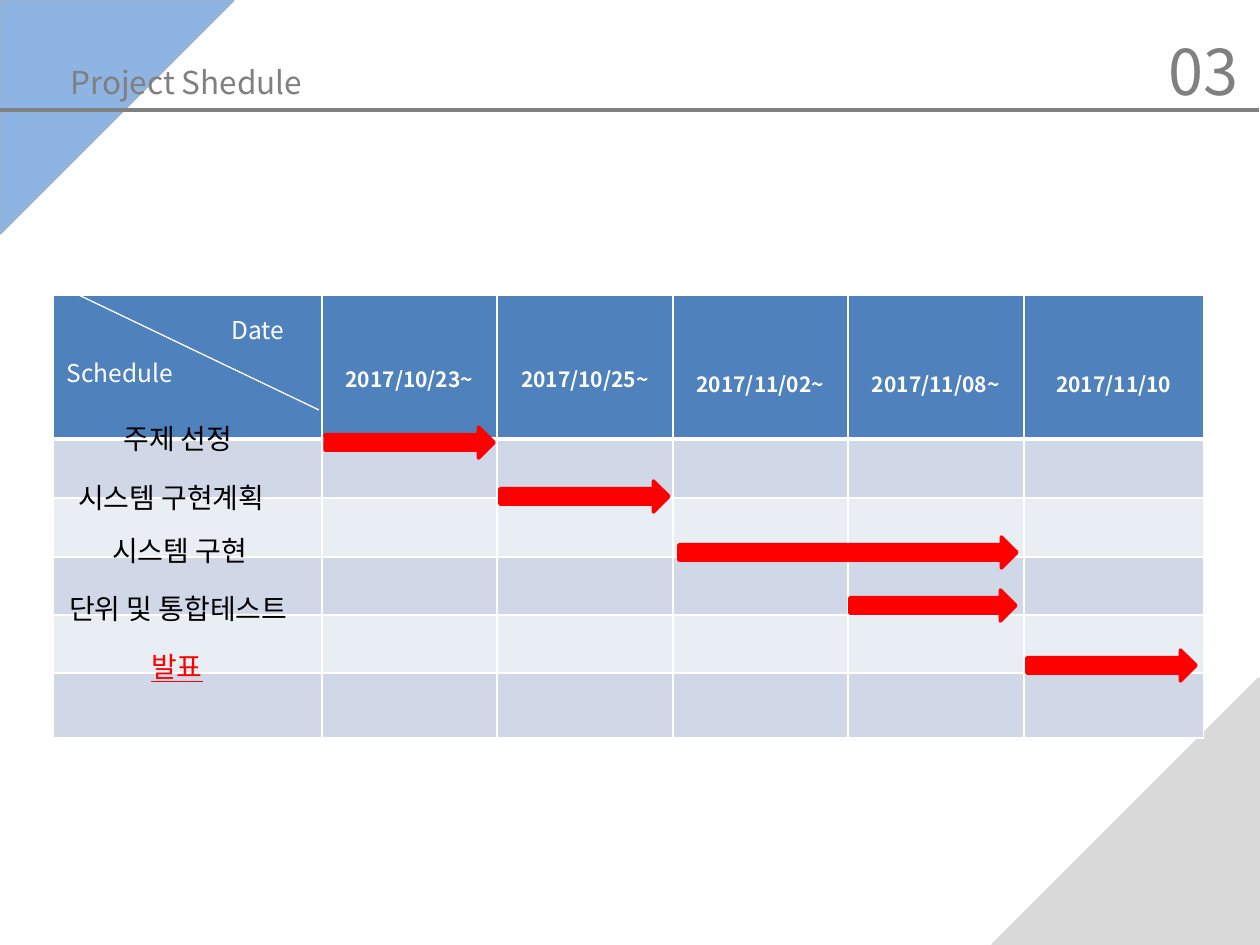
from dataclasses import dataclass
from itertools import product

from lxml.etree import SubElement
from pptx import Presentation
from pptx.dml.color import RGBColor as Rgb
from pptx.enum.shapes import MSO_CONNECTOR as Connector, MSO_SHAPE as Preset
from pptx.enum.text import PP_ALIGN as Align
from pptx.oxml.ns import qn
from pptx.shapes.autoshape import Shape
from pptx.slide import Slide
from pptx.table import _Cell as Cell
from pptx.text.text import _Paragraph as Paragraph
from pptx.util import Emu, Pt

PX_PER_INCH = 126


@dataclass(frozen=True)
class Theme:
    font: str = "Noto Sans CJK KR"
    white: str = "FFFFFF"
    black: str = "000000"
    grey: str = "808080"
    red: str = "FF0000"
    header: str = "4F81BD"
    bands: tuple[str, str] = ("D0D8E8", "E9EDF4")
    blue_corner: str = "8EB4E3"
    blue_edge: str = "95B3D7"
    grey_corner: str = "D9D9D9"
    number_size: int = 36
    title_size: int = 18
    task_size: int = 16
    axis_size: int = 14
    date_size: int = 12


THEME = Theme()


@dataclass(frozen=True)
class Label:
    text: str
    left: int
    top: int
    width: int
    height: int
    size: int
    color: str
    underline: bool = False


@dataclass(frozen=True)
class Task:
    name: str
    name_left: int
    name_top: int
    bar_left: int
    bar_top: int
    bar_width: int
    name_width: int = 300
    color: str = THEME.black
    underline: bool = False


@dataclass(frozen=True)
class Corner:
    left: int
    top: int
    side: int
    rotation: int
    fill: str
    edge: str


@dataclass(frozen=True)
class Rule:
    start: tuple[int, int]
    end: tuple[int, int]
    color: str
    weight: float


@dataclass(frozen=True)
class DateHeading:
    text: str
    margin_top: int


CORNERS = (
    Corner(0, 0, 233, 90, THEME.blue_corner, THEME.blue_edge),
    Corner(993, 679, 266, 270, THEME.grey_corner, THEME.grey_corner),
)
DATES = (
    DateHeading("2017/10/23~", 68),
    DateHeading("2017/10/25~", 68),
    DateHeading("2017/11/02~", 73),
    DateHeading("2017/11/08~", 73),
    DateHeading("2017/11/10", 73),
)
TASKS = (
    Task("주제 선정", 111, 415, 325, 427, 169, name_width=248),
    Task("시스템 구현계획", 66, 474, 500, 481, 169),
    Task("시스템 구현", 100, 527, 679, 537, 338),
    Task("단위 및 통합테스트", 57, 585, 850, 590, 166),
    Task("발표", 139, 643, 1027, 650, 169, color=THEME.red, underline=True),
)
AXIS_LABELS = (
    Label("Date", 219, 309, 106, 43, THEME.axis_size, THEME.white),
    Label("Schedule", 54, 352, 134, 43, THEME.axis_size, THEME.white),
)
TITLES = (
    Label("03", 1156, 26, 357, 89, THEME.number_size, THEME.grey),
    Label("Project Shedule", 58, 57, 357, 50, THEME.title_size, THEME.grey),
)
HEADER_DIAGONAL = Rule((319, 410), (39, 276), THEME.white, 0.75)
TITLE_RULE = Rule((0, 110), (1259, 110), THEME.grey, 2.5)

TABLE_LEFT, TABLE_TOP = 53, 295
COLUMN_WIDTHS = (269, 175, 176, 175, 176, 180)
ROW_HEIGHTS = (144, 59, 59, 58, 58, 65)


def px(length: int) -> Emu:
    return Emu(round(length * 914400 / PX_PER_INCH))


def style_text(paragraph: Paragraph, size: int, color: str, bold: bool = False,
               underline: bool = False) -> None:
    for run in paragraph.runs:
        font = run.font
        font.size, font.name = Pt(size), THEME.font
        font.bold, font.underline = bold, underline
        font.color.rgb = Rgb.from_string(color)
        latin = font._element.find(qn("a:latin"))
        latin.addnext(latin.makeelement(qn("a:ea"), {"typeface": THEME.font}))


def paint(shape: Shape, fill: str, edge: str) -> None:
    shape.shadow.inherit = False
    shape.fill.solid()
    shape.fill.fore_color.rgb = Rgb.from_string(fill)
    shape.line.color.rgb = Rgb.from_string(edge)
    shape.line.width = Pt(2)


def add_corner(slide: Slide, corner: Corner) -> None:
    triangle = slide.shapes.add_shape(
        Preset.RIGHT_TRIANGLE, px(corner.left), px(corner.top), px(corner.side), px(corner.side))
    triangle.rotation = corner.rotation
    paint(triangle, corner.fill, corner.edge)


def add_label(slide: Slide, label: Label) -> None:
    frame = slide.shapes.add_textbox(
        px(label.left), px(label.top), px(label.width), px(label.height)).text_frame
    frame.word_wrap = True
    frame.text = label.text
    style_text(frame.paragraphs[0], label.size, label.color, underline=label.underline)


def add_bar(slide: Slide, task: Task) -> None:
    bar = slide.shapes.add_shape(
        Preset.RIGHT_ARROW, px(task.bar_left), px(task.bar_top), px(task.bar_width), px(31))
    paint(bar, THEME.red, THEME.red)


def add_task_name(slide: Slide, task: Task) -> None:
    add_label(slide, Label(task.name, task.name_left, task.name_top, task.name_width, 47,
                           THEME.task_size, task.color, task.underline))


def add_rule(slide: Slide, rule: Rule) -> None:
    line = slide.shapes.add_connector(
        Connector.STRAIGHT, *map(px, rule.start), *map(px, rule.end))
    line.line.color.rgb = Rgb.from_string(rule.color)
    line.line.width = Pt(rule.weight)
    SubElement(line._element.spPr, qn("a:effectLst"))


def style_cell(cell: Cell, fill: str, top: int, bottom: int) -> None:
    properties = cell._tc.get_or_add_tcPr()
    for side, weight in (("L", 1), ("R", 1), ("T", top), ("B", bottom)):
        border = SubElement(properties, qn(f"a:ln{side}"), w=str(Pt(weight)))
        solid = SubElement(border, qn("a:solidFill"))
        SubElement(solid, qn("a:srgbClr"), val=THEME.white)
    cell.fill.solid()
    cell.fill.fore_color.rgb = Rgb.from_string(fill)


def add_schedule(slide: Slide) -> None:
    schedule = slide.shapes.add_table(
        len(ROW_HEIGHTS), len(COLUMN_WIDTHS), px(TABLE_LEFT), px(TABLE_TOP),
        px(sum(COLUMN_WIDTHS)), px(sum(ROW_HEIGHTS))).table
    for column, width in zip(schedule.columns, COLUMN_WIDTHS):
        column.width = px(width)
    for row, height in zip(schedule.rows, ROW_HEIGHTS):
        row.height = px(height)
    for row, column in product(range(len(ROW_HEIGHTS)), range(len(COLUMN_WIDTHS))):
        fill = THEME.bands[(row - 1) % 2] if row else THEME.header
        style_cell(schedule.cell(row, column), fill,
                   top=3 if row == 1 else 1, bottom=1 if row else 3)
    for column, date in enumerate(DATES, start=1):
        cell = schedule.cell(0, column)
        cell.margin_top = px(date.margin_top)
        cell.text_frame.text = date.text
        heading = cell.text_frame.paragraphs[0]
        heading.alignment = Align.CENTER
        style_text(heading, THEME.date_size, THEME.white, bold=True)


def main() -> None:
    deck = Presentation()
    deck.slide_width, deck.slide_height = px(1260), px(945)
    slide = deck.slides.add_slide(deck.slide_layouts[6])
    for corner in CORNERS:
        add_corner(slide, corner)
    add_schedule(slide)
    for task in TASKS:
        add_bar(slide, task)
    add_rule(slide, HEADER_DIAGONAL)
    for task in TASKS:
        add_task_name(slide, task)
    for label in AXIS_LABELS:
        add_label(slide, label)
    add_rule(slide, TITLE_RULE)
    for title in TITLES:
        add_label(slide, title)
    deck.save("out.pptx")


if __name__ == "__main__":
    main()
